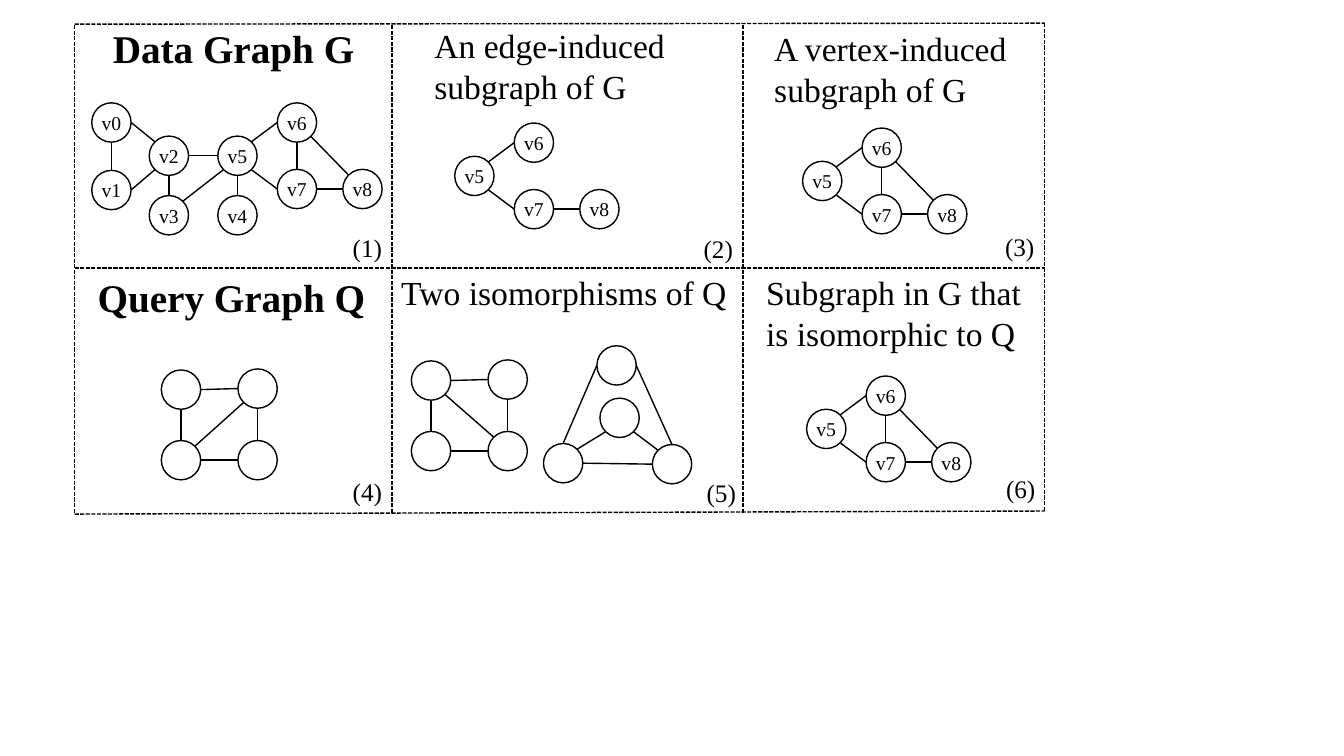
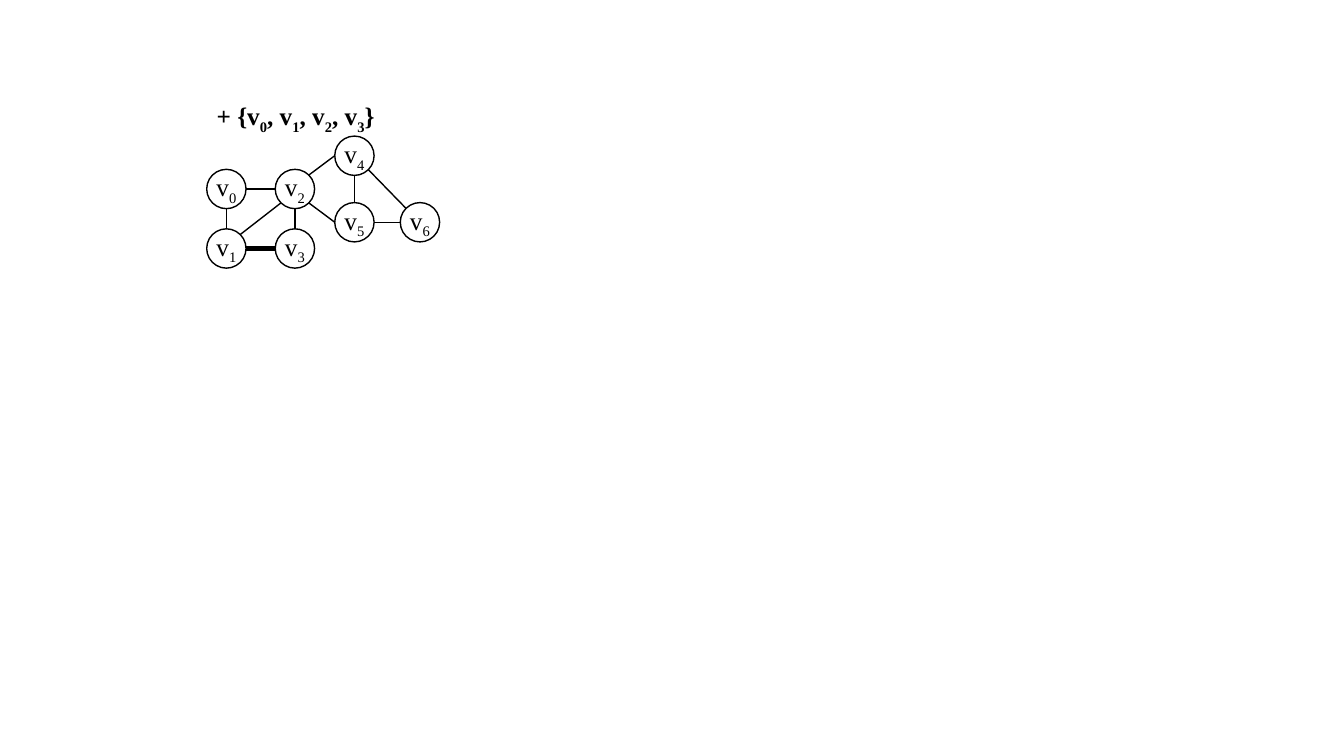
from math import cos, radians, sin

from lxml.etree import SubElement
from pptx import Presentation
from pptx.dml.color import RGBColor
from pptx.enum.dml import MSO_LINE
from pptx.enum.shapes import MSO_CONNECTOR, MSO_SHAPE
from pptx.enum.text import MSO_ANCHOR, MSO_AUTO_SIZE, PP_ALIGN
from pptx.oxml.ns import qn
from pptx.util import Inches, Pt

COLORS = {"ink": "000000", "paper": "FFFFFF"}
FONT = "Times New Roman"
NODE = 0.39
SITES = ["N", "NW", "W", "SW", "S", "SE", "E", "NE"]
COLS = [0.74, 3.89, 7.37, 10.36]
ROWS = [0.25, 2.66, 5.1]


def rgb(name):
    """Return a palette colour."""
    return RGBColor.from_string(COLORS[name])


def write(tf, text, size=14, bold=False, align=PP_ALIGN.LEFT, wrap=False):
    """Fill a text frame; the character after each underscore is a subscript."""
    tf.word_wrap = wrap
    p = tf.paragraphs[0]
    p.alignment = align
    first, *rest = text.split("_")
    pieces = [(first, False)]
    for part in rest:
        pieces += [(part[0], True), (part[1:], False)]
    for piece, subscript in pieces:
        if not piece:
            continue
        r = p.add_run()
        r.text = piece
        r.font.name, r.font.size, r.font.bold = FONT, Pt(size), bold
        r.font.color.rgb = rgb("ink")
        if subscript:
            r._r.get_or_add_rPr().set("baseline", "-25000")


def add_text(s, text, x, y, w, h, **fmt):
    """Add a text box."""
    tf = s.shapes.add_textbox(Inches(x), Inches(y), Inches(w), Inches(h)).text_frame
    write(tf, text, **fmt)
    tf.auto_size = MSO_AUTO_SIZE.SHAPE_TO_FIT_TEXT


def add_line(s, start, end, width=1, dash=None):
    """Add a straight line between two points."""
    cn = s.shapes.add_connector(MSO_CONNECTOR.STRAIGHT, *map(Inches, start + end))
    cn.line.color.rgb = rgb("ink")
    cn.line.width = Pt(width)
    if dash:
        cn.line.dash_style = dash
    SubElement(cn._element.spPr, qn("a:effectLst"))
    return cn


def add_node(s, label, x, y, size):
    """Add a round vertex."""
    sp = s.shapes.add_shape(MSO_SHAPE.OVAL, Inches(x), Inches(y), Inches(NODE), Inches(NODE))
    sp.shadow.inherit = False
    sp.fill.solid()
    sp.fill.fore_color.rgb = rgb("paper")
    sp.line.color.rgb = rgb("ink")
    sp.line.width = Pt(1)
    sp.text_frame.vertical_anchor = MSO_ANCHOR.MIDDLE
    write(sp.text_frame, label, size=size, align=PP_ALIGN.CENTER)
    return sp


def site_point(x, y, site):
    """Return the rim point of a vertex at a compass site."""
    angle = radians(90 + 45 * SITES.index(site))
    r = NODE / 2
    return x + r + r * cos(angle), y + r - r * sin(angle)


def add_graph(s, x, y, nodes, edges, size=14, labels=True, bold_edges=()):
    """Draw vertices and the edges glued to them, from a top left corner."""
    spots = {name: (x + dx, y + dy) for name, (dx, dy) in nodes.items()}
    ovals = {n: add_node(s, n if labels else "", *spot, size) for n, spot in spots.items()}
    for edge in edges:
        a, site_a, b, site_b = edge.split()
        cn = add_line(s, site_point(*spots[a], site_a), site_point(*spots[b], site_b),
                      3 if edge in bold_edges else 1)
        glue = cn._element.nvCxnSpPr.cNvCxnSpPr
        for tag, name, site in (("a:stCxn", a, site_a), ("a:endCxn", b, site_b)):
            SubElement(glue, qn(tag), id=str(ovals[name].shape_id), idx=str(SITES.index(site)))


def kite(hub="v5", top="v6", low="v7", tip="v8", dx=0):
    """Return vertices and edges of the four-vertex kite."""
    nodes = {hub: (dx, 0.33), top: (dx + 0.59, 0), low: (dx + 0.59, 0.66), tip: (dx + 1.24, 0.66)}
    edges = [f"{top} W {hub} NE", f"{low} W {hub} SE", f"{tip} W {low} E",
             f"{low} N {top} S", f"{tip} NW {top} SE"]
    return nodes, edges


def square(diagonal):
    """Return vertices and edges of a square with one diagonal."""
    nodes = {"a": (0, 0.01), "b": (0.76, 0), "c": (0, 0.71), "d": (0.76, 0.71)}
    return nodes, ["b W a E", "c N a S", diagonal, "d N b S", "d W c E"]


def data_graph():
    """Return vertices and edges of the data graph."""
    nodes, edges = kite(dx=1.25)
    nodes |= {"v0": (0, 0), "v1": (0, 0.67), "v2": (0.57, 0.33),
              "v3": (0.57, 0.92), "v4": (1.25, 0.92)}
    return nodes, edges + ["v0 E v2 NW", "v0 S v1 N", "v2 SW v1 E", "v5 W v2 E",
                           "v3 N v2 S", "v3 NE v5 SW", "v4 N v5 S"]


def triangle():
    """Return vertices and edges of the triangle around an inner vertex."""
    nodes = {"inner": (0.56, 0.52), "right": (1.08, 0.98), "left": (0, 0.97), "top": (0.53, 0)}
    return nodes, ["right NW inner SE", "left NE inner SW", "left E right W",
                   "top E right N", "top W left N"]


def add_panel(s, index, title, title_box, number_at, graphs, heading=False):
    """Fill one grid cell with its title, graphs and number."""
    row, col = divmod(index, 3)
    x, y = COLS[col], ROWS[row]
    dx, dy, w, h = title_box
    add_text(s, title, x + dx, y + dy, w, h, size=28 if heading else 24, bold=heading, wrap=True)
    for gx, gy, (nodes, edges), labels in graphs:
        add_graph(s, x + gx, y + gy, nodes, edges, labels=labels)
    nx, ny = number_at
    add_text(s, f"({index + 1})", x + nx, y + ny, 0.5, 0.4, size=18)


def add_grid(s):
    """Draw the dashed grid."""
    left, *inner, right = COLS
    top, middle, bottom = ROWS
    lines = [((x, top), (x, bottom - 0.01)) for x in [left] + inner]
    lines += [((right, 0.23), (right, 5.07)), ((left, 0.24), (right, 0.23)),
              ((left, middle), (right, middle)), ((left, bottom), (right, 5.07))]
    for start, end in lines:
        add_line(s, start, end, dash=MSO_LINE.SQUARE_DOT)


def subgraph_slide(s):
    """Build the six-panel overview of subgraphs and isomorphisms."""
    add_grid(s)
    nodes, edges = kite()
    panels = [
        ("Data Graph G", (0.28, -0.06, 2.65, 0.57), (2.66, 2.01),
         [(0.17, 0.77, data_graph(), True)], True),
        ("An edge-induced subgraph of G", (0.32, -0.05, 2.54, 0.91), (2.99, 2.02),
         [(0.62, 0.97, (nodes, edges[:3]), True)]),
        ("A vertex-induced subgraph of G", (0.21, -0.02, 2.78, 0.91), (2.5, 2),
         [(0.59, 1.02, kite(), True)]),
        ("Query Graph Q", (0.13, 0, 2.97, 0.57), (2.66, 2.02),
         [(0.86, 1, square("c NE b SW"), False)], True),
        ("Two isomorphisms of Q", (-0.01, -0.01, 3.52, 0.5), (3.02, 2.03),
         [(0.19, 0.91, square("d NW a SE"), False), (1.5, 0.77, triangle(), False)]),
        ("Subgraph in G that is isomorphic to Q", (0.13, -0.01, 2.9, 0.91), (2.51, 1.99),
         [(0.63, 1.07, kite(), True)]),
    ]
    for index, panel in enumerate(panels):
        add_panel(s, index, *panel)


def vertex_set_slide(s, x=2.05, y=0.95):
    """Build the graph with its added vertex set."""
    nodes, edges = kite("v_2", "v_4", "v_5", "v_6", dx=0.68)
    nodes |= {"v_0": (0, 0.33), "v_1": (0, 0.92), "v_3": (0.68, 0.92)}
    added = "v_1 E v_3 W"
    edges += ["v_2 W v_0 E", "v_1 N v_0 S", "v_1 NE v_2 SW", "v_3 N v_2 S", added]
    add_graph(s, x, y + 0.4, nodes, edges, size=18, bold_edges=[added])
    add_text(s, "+ {v_0, v_1, v_2, v_3}", x, y, 2.65, 0.4, size=18, bold=True, wrap=True)


def main():
    """Build and save the presentation."""
    prs = Presentation()
    prs.slide_width, prs.slide_height = Inches(13.33), Inches(7.5)
    for build in (subgraph_slide, vertex_set_slide):
        build(prs.slides.add_slide(prs.slide_layouts[6]))
    prs.save("out.pptx")


if __name__ == "__main__":
    main()
